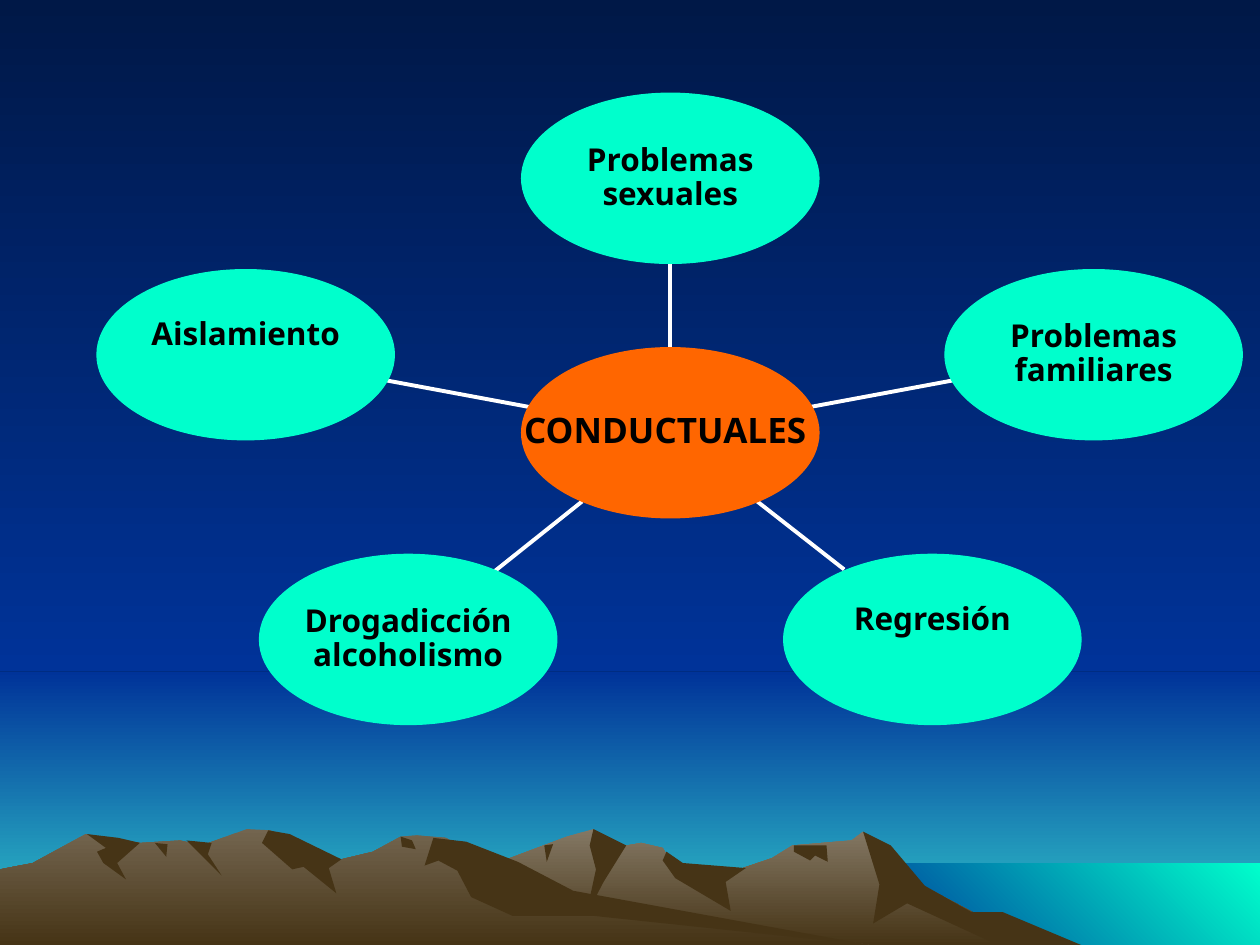
"""Build the CONDUCTUALES hub-and-spoke slide above a mountain landscape."""
from lxml import etree
from pptx import Presentation
from pptx.dml.color import RGBColor
from pptx.enum.shapes import MSO_CONNECTOR, MSO_SHAPE
from pptx.enum.text import MSO_ANCHOR, PP_ALIGN
from pptx.oxml.ns import qn
from pptx.util import Pt

OVAL = MSO_SHAPE.OVAL
RECTANGLE = MSO_SHAPE.RECTANGLE
STRAIGHT = MSO_CONNECTOR.STRAIGHT
MIDDLE = MSO_ANCHOR.MIDDLE
CENTER = PP_ALIGN.CENTER

PX = 9144
WIDTH, HEIGHT = 1000, 750
HORIZON = 533
SEA_LEFT, SEA_TOP = 683, 685
OVAL_WIDTH, OVAL_HEIGHT = 236, 135
HUB_LEFT, HUB_TOP = 414, 276
FONT = "Noto Sans"
COLORS = {
    "night": "001847", "blue": "003399", "dusk": "33CCCC", "aqua": "00FFCC",
    "stone": "847864", "rock": "73654F", "earth": "463416",
    "orange": "FF6600", "white": "FFFFFF", "black": "000000",
}
DOWN, UP_RIGHT = 270, 45


def paint(fill, names, angle=DOWN):
    """Fill with one colour, or with a gradient between two."""
    if len(names) == 1:
        fill.solid()
        fill.fore_color.rgb = RGBColor.from_string(COLORS[names[0]])
        return
    fill.gradient()
    fill.gradient_angle = angle
    for stop, name, position in zip(fill.gradient_stops, names, (0, 1)):
        stop.color.rgb = RGBColor.from_string(COLORS[name])
        stop.position = position


def add_oval(page, left, top, color, lines, size, right_inset=0, bottom_inset=0):
    """Add a labelled oval with one paragraph per line."""
    oval = page.shapes.add_shape(OVAL, left * PX, top * PX, OVAL_WIDTH * PX, OVAL_HEIGHT * PX)
    oval.shadow.inherit = False
    paint(oval.fill, [color])
    paint(oval.line.fill, [color])
    oval.line.width = Pt(0.75)
    frame = oval.text_frame
    frame.word_wrap = False
    frame.vertical_anchor = MIDDLE
    frame.margin_left = frame.margin_top = 0
    frame.margin_right, frame.margin_bottom = right_inset * PX, bottom_inset * PX
    for index, line in enumerate(lines):
        para = frame.add_paragraph() if index else frame.paragraphs[0]
        para.alignment = CENTER
        para.line_spacing = 0.89
        span = para.add_run()
        span.text = line
        span.font.name = FONT
        span.font.size = Pt(size)
        span.font.bold = True
        span.font.color.rgb = RGBColor.from_string(COLORS["black"])


deck = Presentation()
deck.slide_width, deck.slide_height = WIDTH * PX, HEIGHT * PX
page = deck.slides.add_slide(deck.slide_layouts[6])
paint(page.background.fill, ["night", "blue"])

bands = [
    (0, HORIZON, HEIGHT, ["blue", "dusk"], DOWN),
    (0, 0, HORIZON, ["night", "blue"], DOWN),
    (SEA_LEFT, SEA_TOP, HEIGHT, ["blue", "aqua"], UP_RIGHT),
]
for left, top, bottom, names, angle in bands:
    band = page.shapes.add_shape(
        RECTANGLE, left * PX, top * PX, (WIDTH - left) * PX, (bottom - top) * PX)
    band.shadow.inherit = False
    paint(band.fill, names, angle)
    band.line.fill.background()

far_range = [
    (821, 750), (723, 698), (685, 660), (676, 667), (629, 671), (613, 681), (566, 697),
    (536, 690), (526, 673), (509, 669), (486, 673), (471, 658), (450, 664), (405, 681),
    (327, 709), (258, 750)]
far_shadows = [
    [(858, 750), (796, 724), (771, 724), (734, 703), (707, 671), (685, 660), (698, 702),
     (693, 733), (720, 717), (792, 750)],
    [(471, 658), (468, 671), (473, 690), (465, 727), (479, 700), (497, 671)],
    [(529, 676), (526, 683), (536, 697), (580, 723), (576, 700), (592, 689), (542, 685)],
    [(630, 671), (630, 676), (643, 683), (647, 679), (657, 684), (656, 671)],
    [(432, 671), (439, 670), (434, 684)],
]
near_range = [
    (690, 750), (432, 712), (354, 665), (331, 663), (318, 664), (296, 676), (271, 682),
    (236, 681), (215, 659), (196, 658), (160, 671), (143, 667), (111, 669), (68, 662),
    (26, 685), (0, 690), (0, 750)]
near_shadows = [
    [(213, 659), (208, 669), (232, 690), (241, 688), (267, 709), (261, 689), (271, 682),
     (230, 662)],
    [(344, 665), (337, 687), (348, 683), (363, 691), (374, 712), (407, 727), (472, 727),
     (690, 750), (455, 707), (411, 684), (370, 668)],
    [(318, 664), (327, 667), (330, 674), (319, 672)],
    [(148, 667), (168, 669), (165, 678), (176, 695)],
    [(123, 669), (133, 670), (132, 680)],
    [(69, 662), (94, 665), (111, 669), (93, 685), (100, 698), (82, 685), (77, 676), (84, 673)],
]
ridges = [(["stone", "earth"], far_range)]
ridges += [(["earth"], shadow) for shadow in far_shadows]
ridges += [(["rock", "earth"], near_range)]
ridges += [(["earth"], shadow) for shadow in near_shadows]
for names, points in ridges:
    builder = page.shapes.build_freeform(*points[0], scale=PX)
    builder.add_line_segments(points[1:], close=True)
    ridge = builder.convert_to_shape()
    ridge.shadow.inherit = False
    paint(ridge.fill, names)
    ridge.line.fill.background()

spokes = [
    (77, 214, ["Aislamiento"], (420, 323, 307, 302)),
    (206, 440, ["Drogadicción", "alcoholismo"], (462, 398, 393, 453)),
    (622, 440, ["Regresión"], (601, 398, 670, 452)),
    (750, 214, ["Problemas", "familiares"], (643, 323, 756, 302)),
    (HUB_LEFT, 74, ["Problemas", "sexuales"], (532, 276, 532, 209)),
]
for left, top, lines, ends in spokes:
    spoke = page.shapes.add_connector(STRAIGHT, *(end * PX for end in ends))
    paint(spoke.line.fill, ["white"])
    spoke.line.width = Pt(2.25)
    etree.SubElement(spoke.element.spPr, qn("a:effectLst"))
    add_oval(page, left, top, "aqua", lines, 18, bottom_inset=30 * (2 - len(lines)))

add_oval(page, HUB_LEFT, HUB_TOP, "orange", ["CONDUCTUALES"], 20, right_inset=8)

deck.save("out.pptx")
